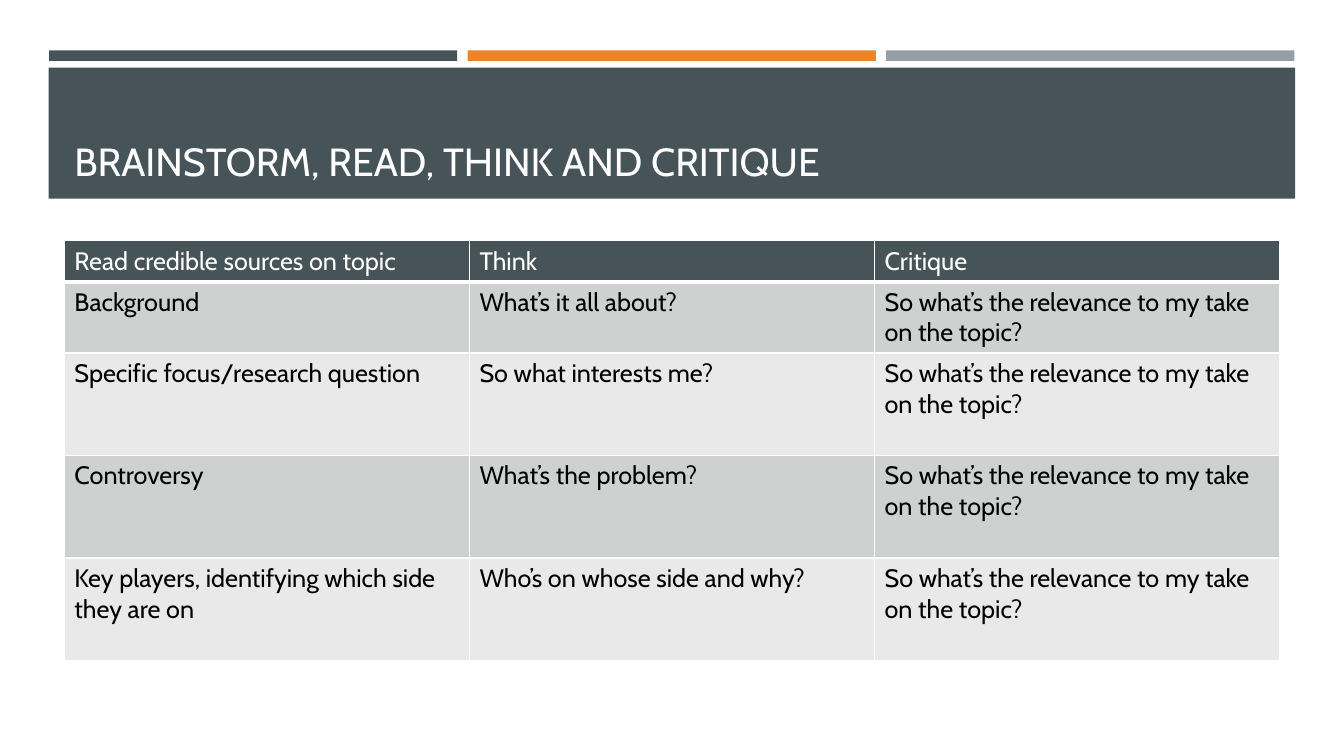
import pptx
import pptx.util
import pptx.dml.color
import pptx.enum.shapes
import pptx.enum.text
import pptx.oxml
import pptx.oxml.ns

Pt = pptx.util.Pt
SLATE, ORANGE, GREY, WHITE, BLACK = "465359", "ED8428", "969FA7", "FFFFFF", "000000"
BANDS = ["CFD1D1", "E9E9EA"]
TAKE = "So what’s the relevance to my take on the topic?"
ROWS = [
    ["Read credible sources on topic", "Think", "Critique"],
    ["Background", "What’s it all about?", TAKE],
    ["Specific focus/research question", "So what interests me?", TAKE],
    ["Controversy", "What’s the problem?", TAKE],
    ["Key players, identifying which side they are on", "Who’s on whose side and why?", TAKE],
]
HEIGHTS = [29.2, 51, 73.2, 73.2, 73.2]


def paint(part, tone):
    if hasattr(part, "solid"):
        part.solid()
        part = part.fore_color
    part.rgb = pptx.dml.color.RGBColor.from_string(tone)


class Slide:
    font = "Cabin"

    def __init__(self, deck):
        self.page = deck.slides.add_slide(deck.slide_layouts[6])

    def label(self, frame, text, size, tone):
        frame.text = text
        for run in frame.paragraphs[0].runs:
            run.font.name = self.font
            run.font.size = Pt(size)
            paint(run.font.color, tone)

    def bar(self, left, top, width, height, tone):
        kind = pptx.enum.shapes.MSO_SHAPE.RECTANGLE
        shape = self.page.shapes.add_shape(kind, Pt(left), Pt(top), Pt(width), Pt(height))
        shape.shadow.inherit = False
        paint(shape.fill, tone)
        shape.line.fill.background()

    def title(self, left, top, width, height, text):
        box = self.page.shapes.add_textbox(Pt(left), Pt(top), Pt(width), Pt(height))
        frame = box.text_frame
        frame.word_wrap = True
        frame.vertical_anchor = pptx.enum.text.MSO_ANCHOR.BOTTOM
        self.label(frame, text, 28, WHITE)

    def edge(self, cell, low):
        props = cell._tc.get_or_add_tcPr()
        for side, size in zip("LRTB", [1, 1, 1, low]):
            props.append(pptx.oxml.parse_xml(
                f'<a:ln{side} {pptx.oxml.ns.nsdecls("a")} w="{Pt(size)}"><a:solidFill>'
                f'<a:srgbClr val="{WHITE}"/></a:solidFill></a:ln{side}>'))

    def table(self, left, top, width, rows, heights):
        count = len(rows[0])
        grid = self.page.shapes.add_table(
            len(rows), count, Pt(left), Pt(top), Pt(width), Pt(sum(heights))).table
        for col in grid.columns:
            col.width = Pt(width / count)
        for i, row in enumerate(rows):
            grid.rows[i].height = Pt(heights[i])
            head = i == 0
            for j, text in enumerate(row):
                cell = grid.cell(i, j)
                self.edge(cell, 3 if head else 1)
                paint(cell.fill, SLATE if head else BANDS[(i - 1) % 2])
                self.label(cell.text_frame, text, 18, WHITE if head else BLACK)


def main():
    deck = pptx.Presentation()
    deck.slide_width, deck.slide_height = Pt(960), Pt(540)
    slide = Slide(deck)
    for i, tone in enumerate([SLATE, ORANGE, GREY]):
        slide.bar(35 + i * 299, 36, 291.6, 7.5, tone)
    slide.bar(34.8, 48.4, 890.4, 93.6, SLATE)
    slide.title(46, 55.3, 868, 80, "BRAINSTORM, READ, THINK AND CRITIQUE")
    slide.table(46, 172, 868, ROWS, HEIGHTS)
    deck.save("out.pptx")


if __name__ == "__main__":
    main()
